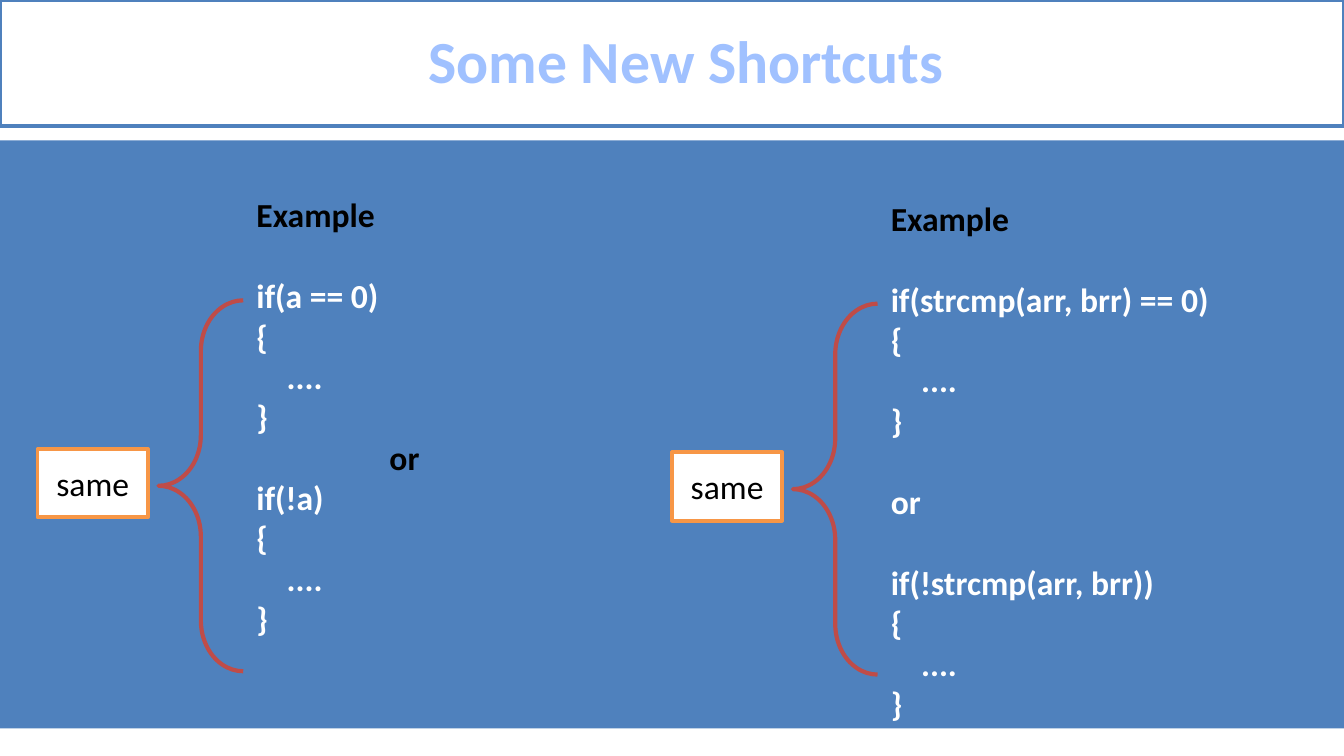
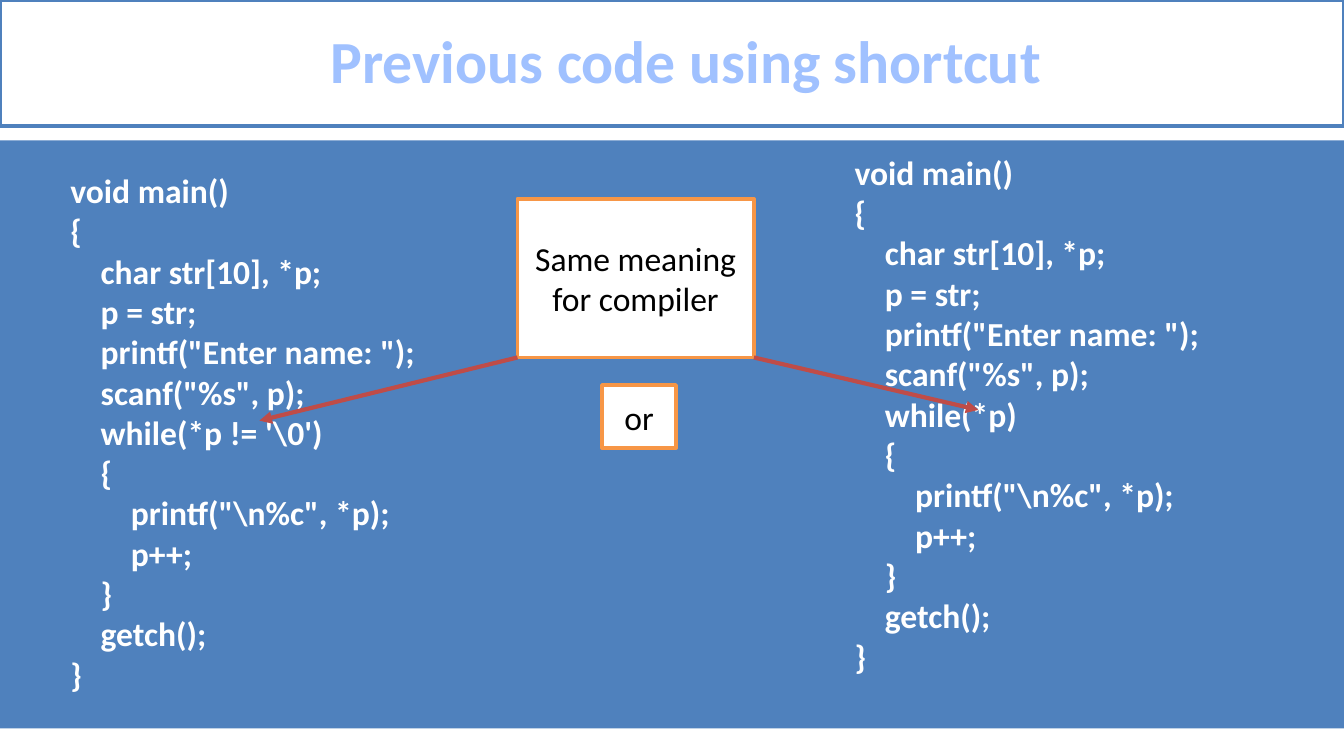
from lxml.etree import SubElement
from pptx import Presentation
from pptx.dml.color import RGBColor
from pptx.enum.shapes import MSO_CONNECTOR as Connector, MSO_SHAPE as Shape
from pptx.enum.text import MSO_ANCHOR as Anchor, MSO_AUTO_SIZE as AutoSize, PP_ALIGN as Align
from pptx.oxml import parse_xml
from pptx.oxml.ns import nsdecls, qn
from pptx.util import Emu, Pt

SCALE = 4572  # 200 px to the inch
WIDTH, HEIGHT = 2000, 1125
FONT = "Calibri"
LINE_PT = 21.9

WHITE, BLACK = "FFFFFF", "000000"
BLUE, RED, ORANGE = "4F81BD", "BF4C48", "F79646"
TITLE_EDGE = "467AB8"
TITLE_STOPS = [(0, "BFD3F9"), (9, "A0C1FF"), (50, "003D85"), (79, "A0C1FF"), (100, "BFD3F9")]

ZERO_TEST = """Example

if(a == 0)
{
    ....
}
or
if(!a)
{
    ....
}"""

STRCMP_TEST = """Example

if(strcmp(arr, brr) == 0)
{
    ....
}

or

if(!strcmp(arr, brr))
{
    ....
}"""

PROGRAM = r"""void main()
{
    char str[10], *p;
    p = str;
    printf("Enter name: ");
    scanf("%s", p);
    while(CONDITION)
    {
        printf("\n%c", *p);
        p++;
    }
    getch();
}"""


def px(*lengths):
    return [Emu(length * SCALE) for length in lengths]


def rgb(color):
    return RGBColor.from_string(color)


def shade_title(run):
    """Give the run the vertical gradient and thin outline of the titles."""
    stops = "".join(
        f'<a:gs pos="{at * 1000}"><a:srgbClr val="{color}"/></a:gs>' for at, color in TITLE_STOPS
    )
    outline = (f'<a:ln {nsdecls("a")} w="10541"><a:solidFill><a:srgbClr val="{TITLE_EDGE}"/>'
               '</a:solidFill></a:ln>')
    gradient = (f'<a:gradFill {nsdecls("a")}><a:gsLst>{stops}</a:gsLst>'
                '<a:lin ang="5400000" scaled="0"/></a:gradFill>')
    properties = run._r.get_or_add_rPr()
    properties.insert(0, parse_xml(outline))
    properties.insert(1, parse_xml(gradient))


class Deck:
    def __init__(self):
        self.presentation = Presentation()
        self.presentation.slide_width, self.presentation.slide_height = px(WIDTH, HEIGHT)
        self.slide = None

    def start(self, heading):
        """Add a slide with the blue band and the framed title."""
        layout = self.presentation.slide_layouts[5]
        self.slide = self.presentation.slides.add_slide(layout)
        title = self.slide.shapes.title
        title.left, title.top, title.width, title.height = px(0, 0, WIDTH, 188)
        self.paint(title, WHITE, BLUE)
        frame = title.text_frame
        frame.text = heading
        frame.auto_size = AutoSize.NONE
        frame.vertical_anchor = Anchor.MIDDLE
        frame.margin_left, = px(62)
        paragraph = frame.paragraphs[0]
        paragraph.alignment = Align.CENTER
        paragraph.line_spacing = 0.96
        run = paragraph.runs[0]
        self.style(run.font, 32, bold=True)
        shade_title(run)
        self.shape(Shape.RECTANGLE, 0, 209, WIDTH, 875, fill=BLUE)

    def style(self, font, size, color=None, bold=False):
        font.name, font.size, font.bold = FONT, Pt(size), bold
        if color:
            font.color.rgb = rgb(color)

    def paint(self, shape, fill=None, line=None, line_pt=2):
        if fill:
            shape.fill.solid()
            shape.fill.fore_color.rgb = rgb(fill)
        else:
            shape.fill.background()
        if line:
            shape.line.color.rgb = rgb(line)
            shape.line.width = Pt(line_pt)
        else:
            shape.line.fill.background()

    def shape(self, preset, left, top, width, height, **paint):
        shape = self.slide.shapes.add_shape(preset, *px(left, top, width, height))
        shape.shadow.inherit = False
        self.paint(shape, **paint)
        return shape

    def label(self, text, left, top, width, height):
        box = self.shape(Shape.RECTANGLE, left, top, width, height, fill=WHITE, line=ORANGE)
        frame = box.text_frame
        frame.text = text
        frame.word_wrap = True
        frame.vertical_anchor = Anchor.MIDDLE
        frame.paragraphs[0].alignment = Align.CENTER
        self.style(frame.paragraphs[0].runs[0].font, 18, BLACK)

    def brace(self, left, top, width, height):
        brace = self.shape(Shape.LEFT_BRACE, left, top, width, height, line=RED, line_pt=2.25)
        brace.adjustments[0] = 0.6
        brace.adjustments[1] = 0.5

    def code(self, source, left, top, width, black=(), centred=()):
        """Write one paragraph a line; an empty line becomes space before the next."""
        lines = source.split("\n")
        height = round(20 + 60.6 * len(lines))
        frame = self.slide.shapes.add_textbox(*px(left, top, width, height)).text_frame
        frame.word_wrap = True
        frame.auto_size = AutoSize.SHAPE_TO_FIT_TEXT
        frame.text = "\n".join(filter(None, lines))
        paragraphs = iter(frame.paragraphs)
        for previous, line in zip([None] + lines, lines):
            if not line:
                continue
            paragraph = next(paragraphs)
            if previous == "":
                paragraph.space_before = Pt(LINE_PT)
            if line in centred:
                paragraph.alignment = Align.CENTER
            color = BLACK if line in black else WHITE
            self.style(paragraph.runs[0].font, 18, color, bold=True)

    def arrow(self, *ends):
        arrow = self.slide.shapes.add_connector(Connector.STRAIGHT, *px(*ends))
        arrow.line.color.rgb = rgb(RED)
        arrow.line.width = Pt(2.25)
        SubElement(arrow.line._get_or_add_ln(), qn("a:tailEnd"), type="triangle")
        SubElement(arrow._element.spPr, qn("a:effectLst"))

    def equivalence(self, source, left, top, code_width, **code_style):
        """Show two code forms joined by a brace that is labelled same."""
        self.code(source, left + 306, top, code_width, **code_style)
        self.brace(left + 180, top + 168, 126, 552)
        self.label("same", left, top + 389, 164, 102)


def main():
    deck = Deck()

    deck.start("Some New Shortcuts")
    deck.equivalence(STRCMP_TEST, 1000, 284, 560, black=["Example"])
    deck.equivalence(ZERO_TEST, 56, 279, 480, black=["Example", "or"], centred=["or"])

    deck.start("Previous code using shortcut")
    deck.code(PROGRAM.replace("CONDITION", "*p"), 1252, 216, 630)
    deck.label("or", 896, 573, 110, 94)
    deck.code(PROGRAM.replace("CONDITION", r"*p != '\0'"), 85, 243, 662)
    deck.label("Same meaning for compiler", 770, 296, 352, 236)
    deck.arrow(1122, 532, 1456, 610)
    deck.arrow(770, 532, 386, 626)

    deck.presentation.save("out.pptx")


if __name__ == "__main__":
    main()
